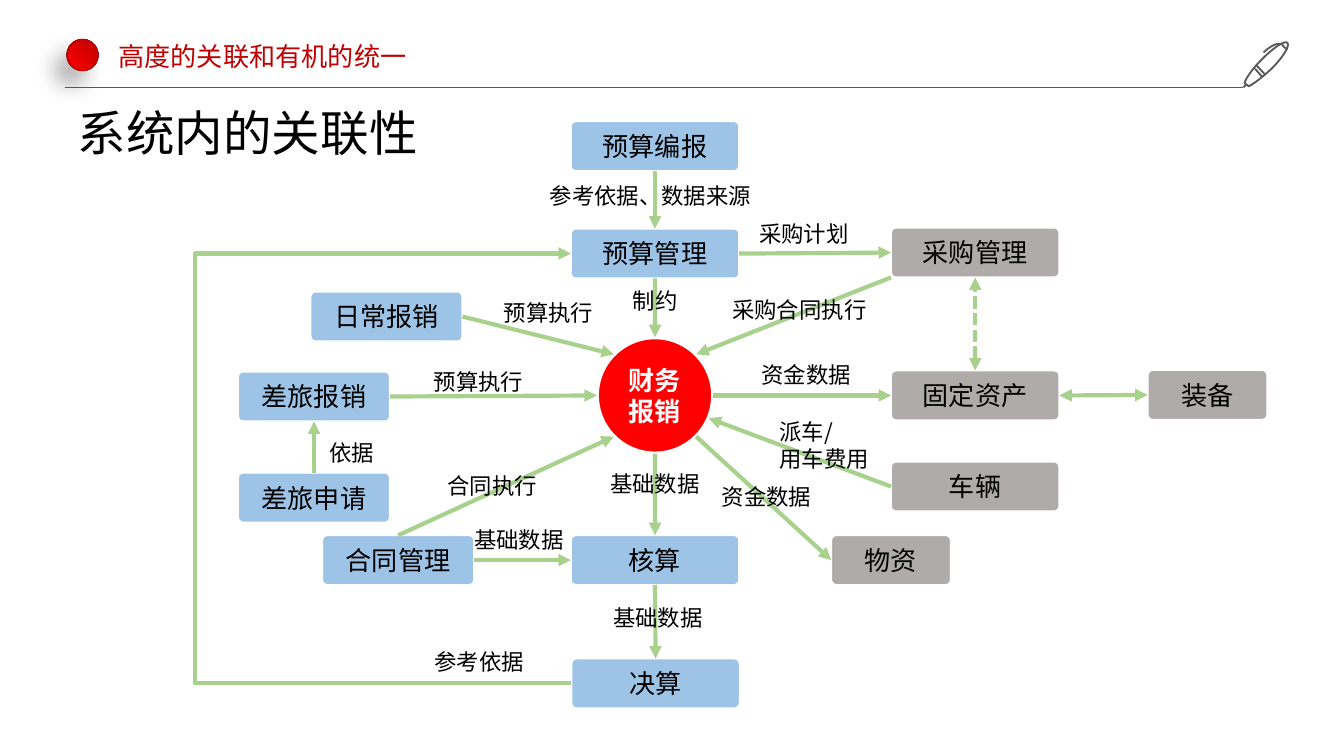
from dataclasses import dataclass
from math import cos, radians, sin

from lxml import etree
from pptx import Presentation
from pptx import util as u
from pptx.dml.color import RGBColor
from pptx.enum import dml, shapes, text
from pptx.oxml.ns import qn

FONT = "Noto Sans CJK SC"
HEX = {"blue": "9DC3E6", "gray": "AFABAB", "green": "A9D18E", "red": "FF0000",
       "wine": "C00000", "ink": "000000", "white": "FFFFFF",
       "slate": "595959", "coal": "262626"}
KIND = shapes.MSO_SHAPE
HIGH = 0.94                          # height of every box, cm
HUB_X, HUB_Y, HUB_R = 12.38, 7.47, 1.1
CORNER = 4                           # bottom left corner of a box
LOOP_X = 3.69                        # far left run of the feedback loop


@dataclass
class Box:
    name: str
    x: float
    y: float
    w: float
    hue: str = "blue"

    def point(self, side: int) -> tuple[float, float]:
        mid_x, mid_y = self.x + self.w / 2, self.y + HIGH / 2
        return ((mid_x, self.y), (self.x, mid_y), (mid_x, self.y + HIGH),
                (self.x + self.w, mid_y), (self.x, self.y + HIGH))[side]


@dataclass
class Link:
    """Arrow between box sides; a name of None is the hub, its side an angle."""
    src: str | None
    out: int
    dst: str | None
    into: int
    both: bool = False
    dash: bool = False


@dataclass
class Label:
    words: str
    x: float
    y: float
    w: float
    h: float = 0.76


BOXES = [
    Box("预算编报", 10.79, 2.29, 3.18), Box("预算管理", 10.79, 4.32, 3.18),
    Box("核算", 10.79, 10.11, 3.18), Box("决算", 10.8, 12.44, 3.18),
    Box("合同管理", 6.09, 10.11, 2.87), Box("差旅报销", 4.5, 7.02, 2.87),
    Box("差旅申请", 4.5, 8.93, 2.87), Box("日常报销", 5.87, 5.51, 2.87),
    Box("采购管理", 16.84, 4.3, 3.18, "gray"),
    Box("固定资产", 16.84, 7, 3.18, "gray"),
    Box("车辆", 16.84, 8.72, 3.18, "gray"),
    Box("装备", 21.69, 6.99, 2.26, "gray"),
    Box("物资", 15.71, 10.11, 2.26, "gray"),
]
LINKS = [
    Link("预算编报", 2, "预算管理", 0), Link("预算管理", 2, None, 270),
    Link(None, 90, "核算", 0), Link("核算", 2, "决算", 0),
    Link("合同管理", 3, "核算", 1), Link("合同管理", 0, None, 135),
    Link("预算管理", 3, "采购管理", 1), Link("采购管理", CORNER, None, 315),
    Link(None, 0, "固定资产", 1), Link(None, 45, "物资", 1),
    Link("车辆", 1, None, 23), Link("日常报销", 3, None, 225),
    Link("差旅报销", 3, None, 180), Link("差旅申请", 0, "差旅报销", 2),
    Link("装备", 1, "固定资产", 3, both=True),
    Link("固定资产", 0, "采购管理", 2, both=True, dash=True),
]
LABELS = [
    Label("参考依据、数据来源", 10.14, 3.32, 4.47), Label("采购计划", 14.1, 4.04, 2.36),
    Label("制约", 11.71, 5.3, 1.55), Label("参考依据", 7.96, 12.11, 2.62),
    Label("基础数据", 11.28, 8.76, 2.31), Label("基础数据", 8.71, 9.81, 2.31),
    Label("基础数据", 11.34, 11.29, 2.31), Label("资金数据", 13.39, 9.01, 2.31),
    Label("派车/\n用车费用", 14.48, 7.77, 2.39, 1.3), Label("资金数据", 14.14, 6.7, 2.31),
    Label("采购合同执行", 13.59, 5.46, 3.38), Label("依据", 5.98, 8.17, 1.55),
    Label("合同执行", 8.21, 8.8, 2.74), Label("预算执行", 7.95, 6.82, 2.23),
    Label("预算执行", 9.27, 5.53, 2.23),
]
# Pen strokes: a start, then cubic curves or single points
PEN = [
    [(23.85, 1.45), (23.72, 1.3)],
    [(23.75, 1.24), (23.9, 1.4)],
    [(24.33, 0.81), ((24.28, 0.76), (24.08, 0.89), (23.85, 1.12)),
     ((23.67, 1.3), (23.55, 1.47), (23.52, 1.57)), (23.6, 1.63),
     ((23.67, 1.6), (23.85, 1.47), (24.03, 1.3)),
     ((24.26, 1.07), (24.38, 0.86), (24.33, 0.81))],
    [(23.55, 1.6), (23.5, 1.65)],
    [(24.33, 0.94), ((24.33, 0.94), (24.26, 0.89), (24.23, 0.84)),
     ((24.23, 0.84), (24.13, 0.76), (23.88, 0.99))],
]


def rgb(hue: str) -> RGBColor:
    return RGBColor.from_string(HEX[hue])


def add(node, tag: str, **attrs):
    return etree.SubElement(node, qn(tag), attrs)


def write(frame, words: str, size: float, hue: str, bold: bool = False) -> None:
    frame.text = words
    for para in frame.paragraphs:
        for run in para.runs:
            font = run.font
            font.size, font.bold, font.name = u.Pt(size), bold, FONT
            font.color.rgb = rgb(hue)
            add(font._element, "a:ea", typeface=FONT)


def note(slide, label: Label, size: float = 12, hue: str = "ink", wrap: bool = True):
    frame = slide.shapes.add_textbox(
        *map(u.Cm, (label.x, label.y, label.w, label.h))).text_frame
    frame.word_wrap = wrap
    frame.auto_size = text.MSO_AUTO_SIZE.SHAPE_TO_FIT_TEXT
    write(frame, label.words, size, hue)
    return frame


def node(slide, kind, x: float, y: float, w: float, h: float, hue: str, edge: float):
    shape = slide.shapes.add_shape(kind, *map(u.Cm, (x, y, w, h)))
    shape.shadow.inherit = False
    shape.fill.solid()
    shape.fill.fore_color.rgb = rgb(hue)
    shape.line.color.rgb = rgb("white")
    shape.line.width = u.Pt(edge)
    return shape


def caption(shape, words: str, hue: str, bold: bool = False) -> None:
    frame = shape.text_frame
    frame.word_wrap = True
    frame.vertical_anchor = text.MSO_ANCHOR.MIDDLE
    write(frame, words, 14, hue, bold)
    frame.paragraphs[0].alignment = text.PP_ALIGN.CENTER


def ball(slide, x: float, y: float, size: float, hues: tuple[str, str]):
    shape = node(slide, KIND.OVAL, x, y, size, size, hues[0], 1)
    shape.fill.gradient()
    for stop, hue in zip(shape.fill.gradient_stops, hues):
        stop.color.rgb = rgb(hue)
    grad = shape._element.spPr.find(qn("a:gradFill"))
    grad.remove(grad.find(qn("a:lin")))
    ring = add(grad, "a:path", path="circle")
    add(ring, "a:fillToRect", l="100000", b="100000")
    return shape


def line(slide, kind, start, end, hue: str, width: float):
    wire = slide.shapes.add_connector(kind, *map(u.Cm, (*start, *end)))
    wire.line.color.rgb = rgb(hue)
    wire.line.width = u.Pt(width)
    add(wire._element.spPr, "a:effectLst")
    return wire


def arrow(slide, link: Link, boxes: dict, made: dict, kind=shapes.MSO_CONNECTOR.STRAIGHT):
    def spot(name: str | None, side: int) -> tuple[float, float]:
        if name:
            return boxes[name].point(side)
        turn = radians(side)
        return HUB_X + HUB_R * cos(turn), HUB_Y + HUB_R * sin(turn)

    wire = line(slide, kind, spot(link.src, link.out), spot(link.dst, link.into), "green", 2.25)
    if link.src and link.out != CORNER:
        wire.begin_connect(made[link.src], link.out)
    if link.dst:
        wire.end_connect(made[link.dst], link.into)
    if link.dash:
        wire.line.dash_style = dml.MSO_LINE.SQUARE_DOT
    ln = wire._element.spPr.find(qn("a:ln"))
    if link.both:
        add(ln, "a:headEnd", type="triangle")
    add(ln, "a:tailEnd", type="triangle")
    return wire


def trace(stroke) -> list:
    spots = [stroke[0]]
    for step in stroke[1:]:
        if isinstance(step[0], tuple):
            ends = (spots[-1], *step)
            for t in (i / 8 for i in range(1, 9)):
                parts = ((1 - t) ** 3, 3 * t * (1 - t) ** 2, 3 * t * t * (1 - t), t ** 3)
                spots.append(tuple(sum(k * p[a] for k, p in zip(parts, ends)) for a in (0, 1)))
        else:
            spots.append(step)
    return [(u.Cm(x), u.Cm(y)) for x, y in spots]


def pen(slide) -> None:
    lines = [trace(stroke) for stroke in PEN]
    form = slide.shapes.build_freeform(*lines[0][0])
    for i, spots in enumerate(lines):
        if i:
            form.move_to(*spots[0])
        form.add_line_segments(spots[1:], close=False)
    shape = form.convert_to_shape()
    shape.shadow.inherit = False
    shape.fill.background()
    shape.line.color.rgb = rgb("slate")
    shape.line.width = u.Pt(1)


def main() -> None:
    deck = Presentation()
    deck.slide_width, deck.slide_height = u.Cm(25.4), u.Cm(14.28)
    slide = deck.slides.add_slide(deck.slide_layouts[6])

    # Header
    back = ball(slide, 1.26, 0.74, 0.6, ("slate", "coal"))
    back.line.fill.background()
    glow = add(back._element.spPr.find(qn("a:effectLst")), "a:outerShdw", blurRad="152400",
               dist="127000", dir="7800000", algn="ctr", rotWithShape="0")
    add(add(glow, "a:srgbClr", val=HEX["ink"]), "a:alpha", val="32000")
    ball(slide, 1.27, 0.75, 0.58, ("wine", "red")).line.color.rgb = rgb("wine")
    line(slide, shapes.MSO_CONNECTOR.STRAIGHT, (1.22, 1.65), (23.5, 1.65), "slate", 0.5)
    pen(slide)
    head = note(slide, Label("高度的关联和有机的统一", 2.06, 0.66, 5.87, 0.79), 14, "wine", False)
    head.margin_left = head.margin_right = u.Cm(0.18)
    head.margin_top = head.margin_bottom = u.Cm(0.1)
    note(slide, Label("系统内的关联性", 1.22, 1.83, 7.44, 1.37), 26)

    # Hub and boxes
    hub = node(slide, KIND.OVAL, HUB_X - HUB_R, HUB_Y - HUB_R, 2 * HUB_R, 2 * HUB_R, "red", 2.25)
    caption(hub, "财务报销", "white", True)
    boxes, made = {box.name: box for box in BOXES}, {}
    for box in BOXES:
        shape = node(slide, KIND.ROUNDED_RECTANGLE, box.x, box.y, box.w, HIGH, box.hue, 1)
        shape.adjustments[0] = 0.1
        caption(shape, box.name, "ink")
        made[box.name] = shape

    # Arrows, then the loop back to the budget
    for link in LINKS:
        arrow(slide, link, boxes, made)
    loop = arrow(slide, Link("决算", 1, "预算管理", 1), boxes, made, shapes.MSO_CONNECTOR.ELBOW)
    bend = round((loop.begin_x - u.Cm(LOOP_X)) / loop.width * 100000)
    add(loop._element.spPr.find(qn("a:prstGeom")).find(qn("a:avLst")),
        "a:gd", name="adj1", fmla=f"val {bend}")

    # Labels
    for label in LABELS:
        note(slide, label)
    deck.save("out.pptx")


if __name__ == "__main__":
    main()
